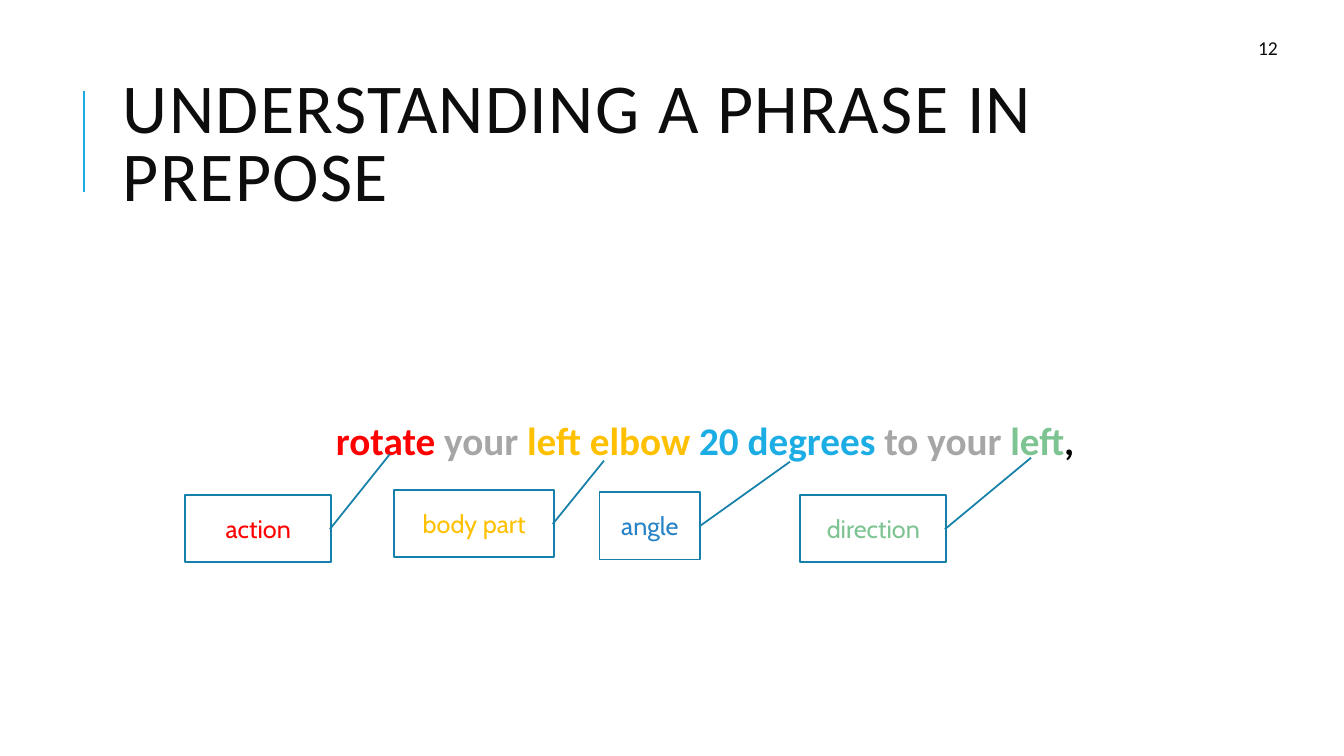
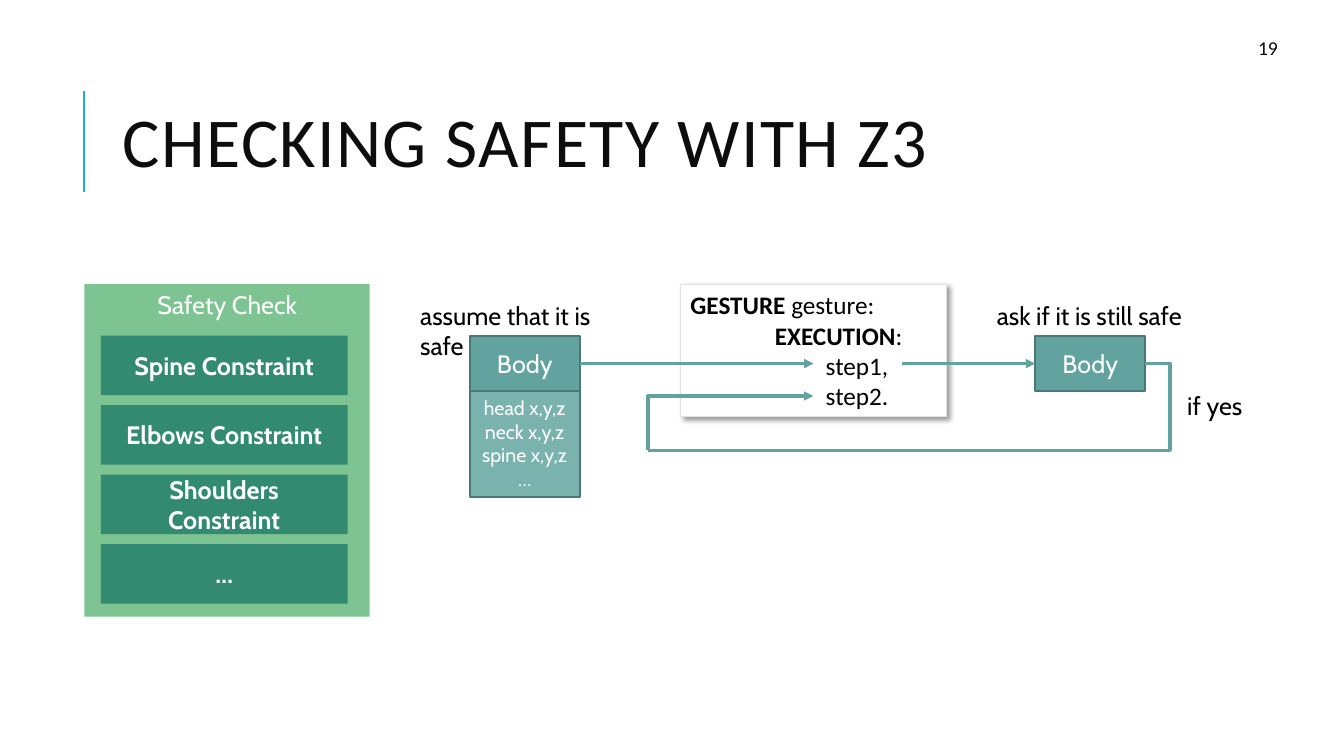
from lxml import etree
from pptx import Presentation
from pptx.dml.color import RGBColor
from pptx.enum.shapes import MSO_CONNECTOR as LINE, MSO_SHAPE as SHAPE
from pptx.enum.text import MSO_ANCHOR as ANCHOR, MSO_AUTO_SIZE, PP_ALIGN as ALIGN
from pptx.oxml.ns import qn
from pptx.util import Cm, Pt

HEADING, BODY = "Calibri", "Cabin"
BLACK, INK, WHITE = "000000", "0D0D0D", "FFFFFF"
RED, GREY, GOLD, GREEN = "FF0000", "A6A6A6", "FFC000", "7EC492"
SKY, BLUE, CALLOUT_EDGE = "1CADE4", "2683C6", "1580A9"
DARK_GREEN, TEAL, LIGHT_TEAL, TEAL_EDGE = "328B71", "62A39F", "7AB2AE", "497976"


def rgb(hex_colour):
    return RGBColor.from_string(hex_colour)


def cm(*lengths):
    return [Cm(v) for v in lengths]


def style(p, size, colour, font=BODY, bold=False, align=ALIGN.LEFT):
    p.alignment = align
    f = p.font
    f.name, f.size, f.bold = font, Pt(size), bold
    f.color.rgb = rgb(colour)


def add_text(s, box, text, size=18, colour=BLACK, font=BODY, **kw):
    tf = s.shapes.add_textbox(*cm(*box)).text_frame
    tf.word_wrap = True
    p = tf.paragraphs[0]
    p.text = text
    style(p, size, colour, font, **kw)
    return tf


def add_box(s, box, lines=(), fill=None, edge=None, width=1.25, shape=SHAPE.RECTANGLE,
            size=18, colour=WHITE, bold=False, anchor=ANCHOR.MIDDLE):
    sp = s.shapes.add_shape(shape, *cm(*box))
    sp.shadow.inherit = False
    if fill:
        sp.fill.solid()
        sp.fill.fore_color.rgb = rgb(fill)
    else:
        sp.fill.background()
    if edge:
        sp.line.color.rgb = rgb(edge)
        sp.line.width = Pt(width)
    else:
        sp.line.fill.background()
    tf = sp.text_frame
    tf.word_wrap = True
    tf.vertical_anchor = anchor
    for i, line in enumerate(lines):
        p = tf.add_paragraph() if i else tf.paragraphs[0]
        p.text = line
        style(p, size, colour, bold=bold, align=ALIGN.CENTER)
    return sp


def add_line(s, start, end, colour=TEAL, width=2.25, arrow=False, bend=None):
    """Straight line, or an elbow whose middle leg lies at the fraction bend."""
    kind = LINE.STRAIGHT if bend is None else LINE.ELBOW
    c = s.shapes.add_connector(kind, *cm(*start, *end))
    c.line.color.rgb = rgb(colour)
    c.line.width = Pt(width)
    spPr = c._element.spPr
    if bend is not None:
        guides = spPr.find(qn("a:prstGeom")).find(qn("a:avLst"))
        etree.SubElement(guides, qn("a:gd"), name="adj1", fmla=f"val {round(bend * 100000)}")
    if arrow:
        etree.SubElement(spPr.find(qn("a:ln")), qn("a:tailEnd"), type="triangle")
    etree.SubElement(spPr, qn("a:effectLst"))


def add_shadow(sp):
    effects = sp._element.spPr.find(qn("a:effectLst"))
    shadow = etree.SubElement(effects, qn("a:outerShdw"), blurRad=str(Pt(4)), dist=str(Pt(3)),
                              dir=str(45 * 60000), algn="tl", rotWithShape="0")
    black = etree.SubElement(shadow, qn("a:srgbClr"), val=BLACK)
    etree.SubElement(black, qn("a:alpha"), val="40000")


def add_titled_slide(prs, title, number):
    s = prs.slides.add_slide(prs.slide_layouts[5])
    add_line(s, (2.11, 4.83), (2.11, 2.29), SKY, 1.5)
    sp = s.shapes.title
    sp.left, sp.top, sp.width, sp.height = cm(2.84, 1.63, 27, 4.17)
    tf = sp.text_frame
    tf.text = title
    tf.word_wrap = True
    tf.auto_size = MSO_AUTO_SIZE.NONE
    tf.vertical_anchor = ANCHOR.MIDDLE
    p = tf.paragraphs[0]
    p.line_spacing = 0.8
    style(p, 50, INK, HEADING)
    p._p.pPr.find(qn("a:defRPr")).set("spc", "100")
    tf = add_text(s, (30.61, 0.81, 2.69, 0.76), number, 14, INK, HEADING, align=ALIGN.CENTER)
    tf.vertical_anchor = ANCHOR.MIDDLE
    return s


def add_callout(s, left, top, width, text, colour, target_y, target_x):
    """Callout with a leader; the target is given in fractions of the box."""
    sp = add_box(s, (left, top, width, 1.7), [text], edge=CALLOUT_EDGE,
                 shape=SHAPE.LINE_CALLOUT_1, colour=colour)
    for i, value in enumerate((0.51, 0.99, target_y, target_x)):
        sp.adjustments[i] = value


def add_phrase_slide(prs):
    s = add_titled_slide(prs, "UNDERSTANDING A PHRASE IN PREPOSE", "12")
    tf = add_text(s, (7.42, 10.36, 20.7, 1.45), "", 28, BLACK, HEADING,
                  bold=True, align=ALIGN.CENTER)
    for word, colour in (("rotate ", RED), ("your ", GREY), ("left elbow ", GOLD),
                         ("20 degrees ", SKY), ("to your ", GREY), ("left", GREEN),
                         (",", BLACK)):
        r = tf.paragraphs[0].add_run()
        r.text = word
        r.font.color.rgb = rgb(colour)
    for callout in ((4.67, 12.47, 3.68, "action", RED, -0.6, 1.4),
                    (9.93, 12.34, 4.04, "body part", GOLD, -0.43, 1.31),
                    (15.11, 12.4, 2.54, "angle", BLUE, -0.45, 1.89),
                    (20.17, 12.47, 3.68, "direction", GREEN, -0.55, 1.58)):
        add_callout(s, *callout)


def add_safety_panel(s):
    add_box(s, (2.13, 7.16, 7.19, 8.38), ["Safety Check"], GREEN, anchor=ANCHOR.TOP)
    names = "Spine Constraint", "Elbows Constraint", "Shoulders Constraint", "…"
    for i, name in enumerate(names):
        add_box(s, (2.54, 8.46 + 1.75 * i, 6.22, 1.5), [name], DARK_GREEN, bold=True)


def add_gesture_code(s):
    sp = add_box(s, (17.15, 7.16, 6.71, 3.33), fill=WHITE, edge="DFE3E5", width=0.75)
    add_shadow(sp)
    tf = sp.text_frame
    lines = ((0, "GESTURE ", "gesture:"), (2.13, "EXECUTION", ":"),
             (3.41, "", "step1,"), (3.41, "", "step2."))
    for i, (indent, keyword, rest) in enumerate(lines):
        p = tf.add_paragraph() if i else tf.paragraphs[0]
        p._p.get_or_add_pPr().set("marL", str(Cm(indent)))
        style(p, 18, BLACK, HEADING)
        if keyword:
            r = p.add_run()
            r.text = keyword
            r.font.bold = True
        p.add_run().text = rest


def add_safety_slide(prs):
    s = add_titled_slide(prs, "CHECKING SAFETY WITH Z3", "19")
    add_safety_panel(s)
    add_gesture_code(s)

    before, after, top, width, height = 11.84, 26.09, 8.46, 2.77, 1.4
    mid = top + height / 2
    for left in (before, after):
        add_box(s, (left, top, width, height), ["Body"], TEAL, TEAL_EDGE)
    add_box(s, (before, top + height, width, 2.67),
            ["head x,y,z", "neck x,y,z", "spine x,y,z", "…"],
            LIGHT_TEAL, TEAL_EDGE, size=14, anchor=ANCHOR.TOP)

    step_left, loop_corner = 20.5, (16.33, 11.35)
    add_line(s, (before + width, mid), (step_left, mid), arrow=True)
    add_line(s, (22.73, mid), (after, mid), arrow=True)
    add_line(s, (after + width, mid), loop_corner, bend=-0.05)
    add_line(s, loop_corner, (step_left, 9.98), arrow=True, bend=0)

    add_text(s, (10.34, 7.44, 5.79, 1.02), "assume that it is safe")
    add_text(s, (24.87, 7.44, 5.4, 1.02), "ask if it is still safe")
    add_text(s, (29.67, 9.7, 2.1, 1.02), "if yes")


def main():
    prs = Presentation()
    prs.slide_width, prs.slide_height = cm(33.87, 19.05)
    add_phrase_slide(prs)
    add_safety_slide(prs)
    prs.save("out.pptx")


if __name__ == "__main__":
    main()
